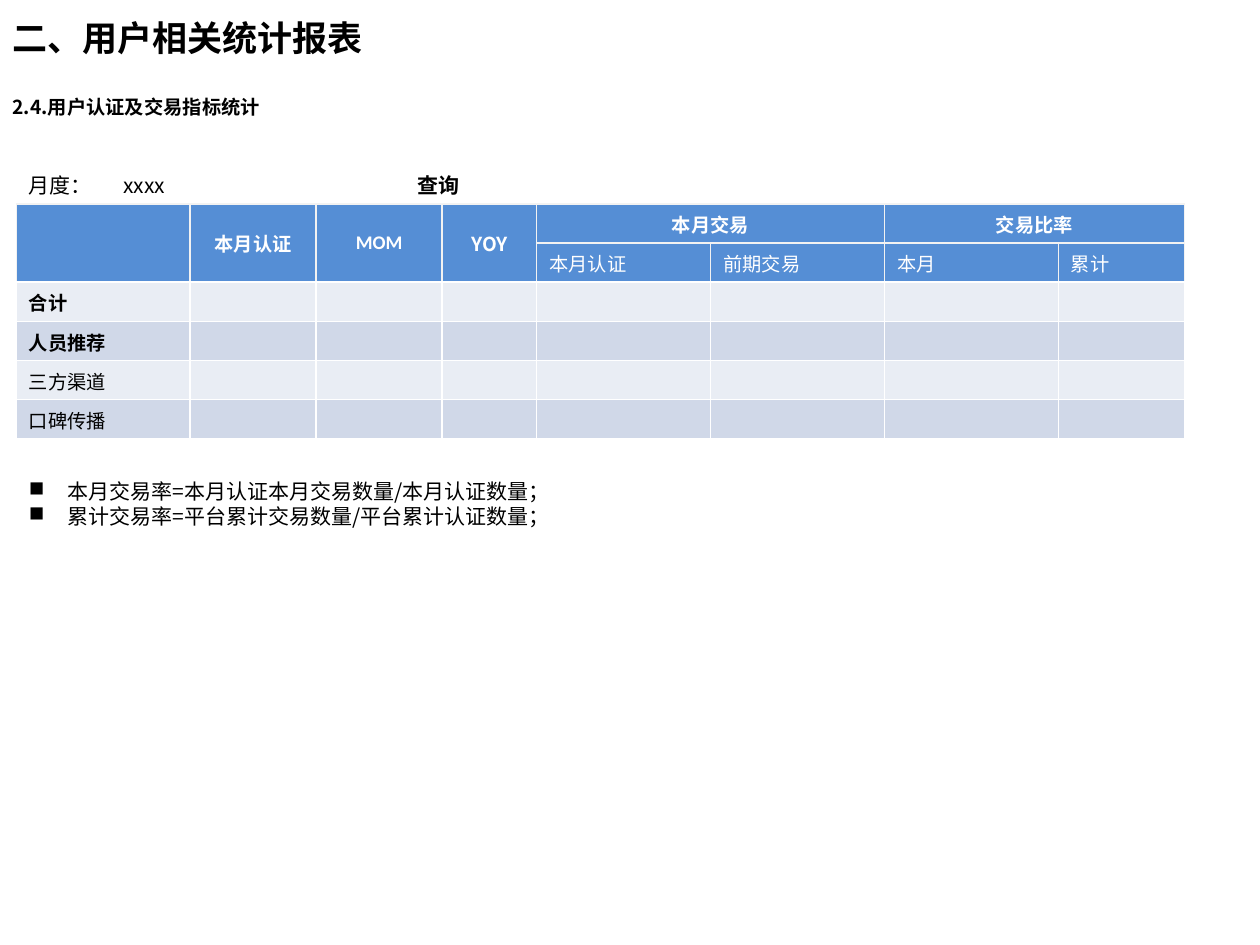
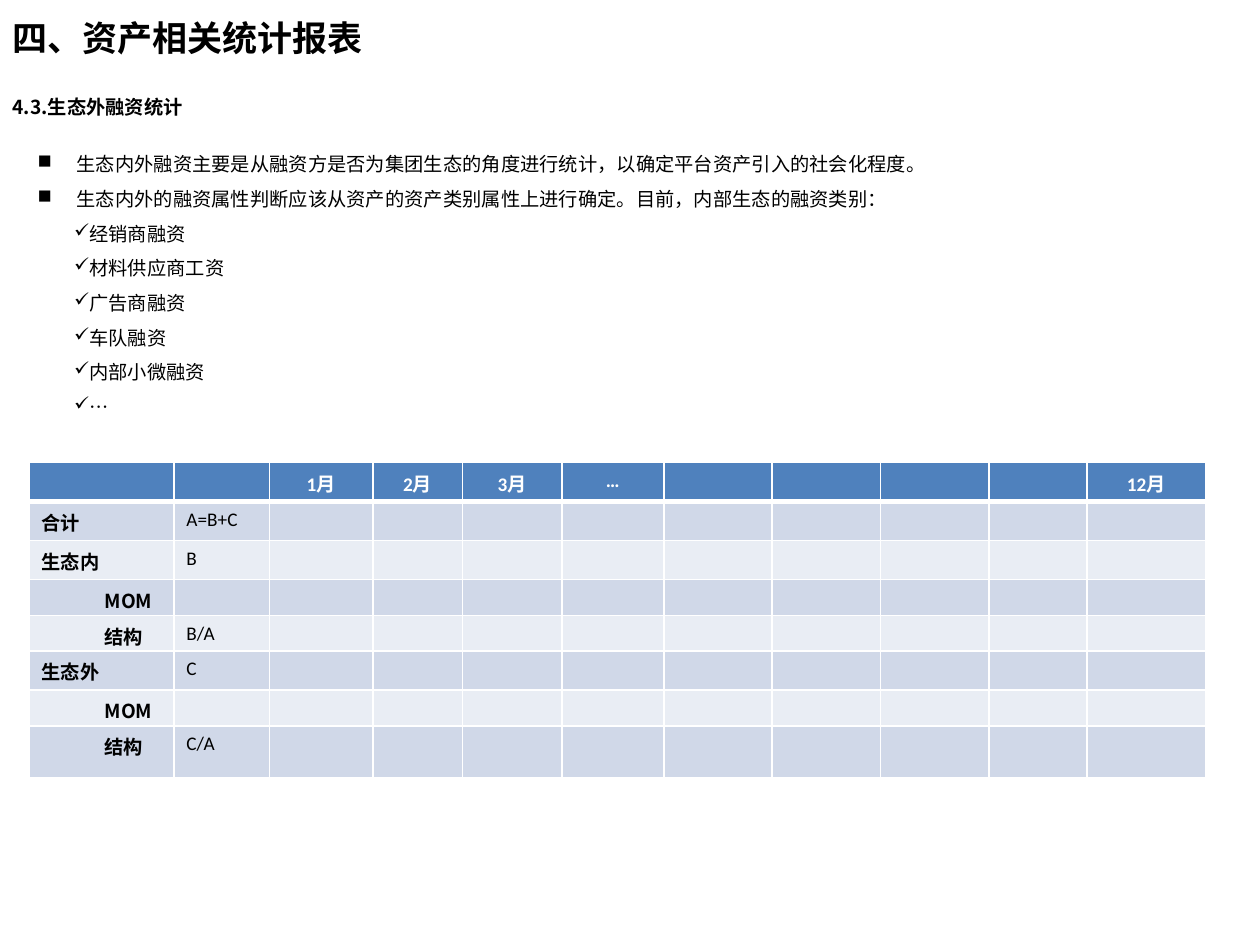
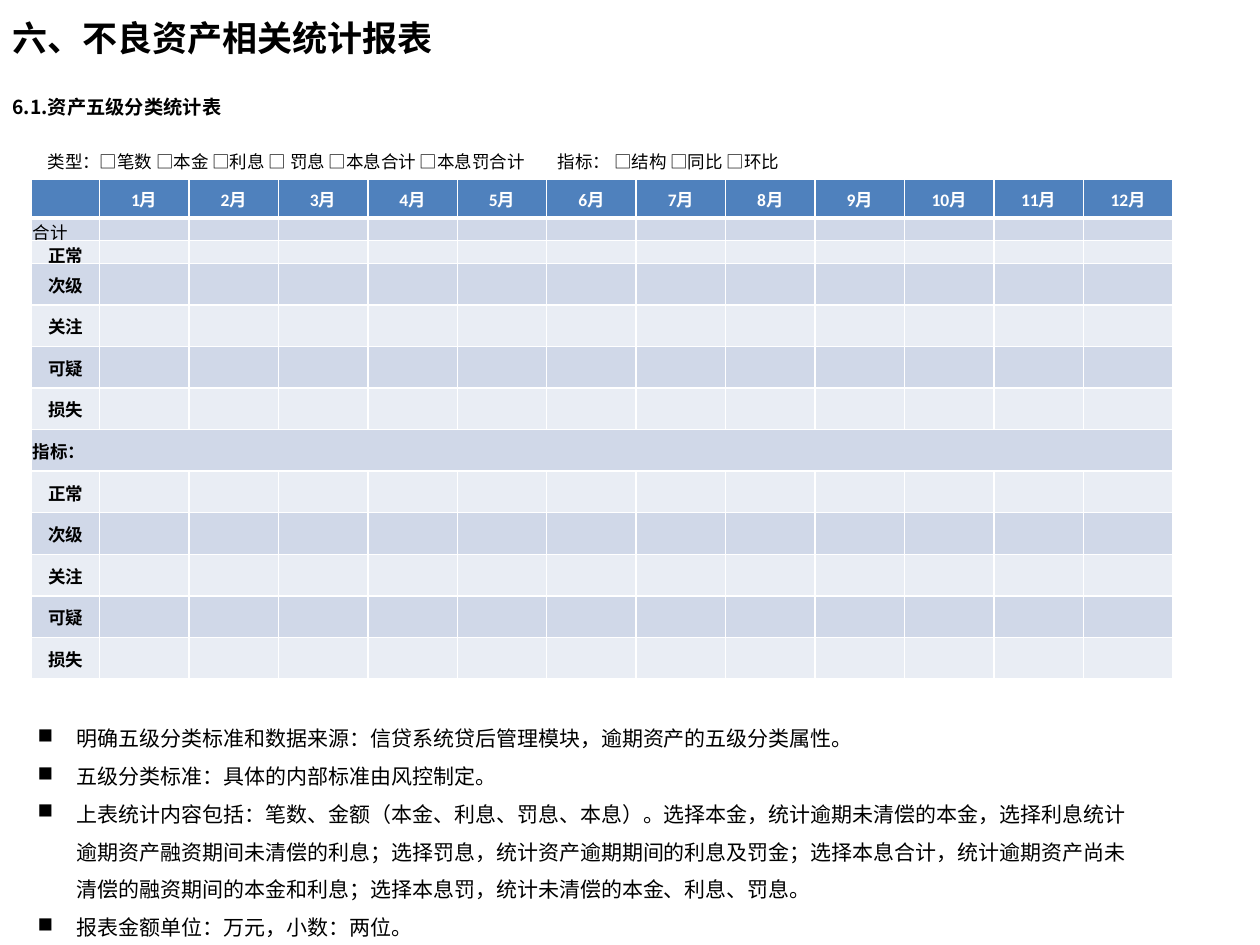
"""Build three report slides on users, assets and bad assets."""
import itertools

import lxml.etree
import pptx
import pptx.dml.color
import pptx.enum.text
import pptx.oxml.ns
import pptx.util

Inches = pptx.util.Inches
Align = pptx.enum.text.PP_ALIGN
Anchor = pptx.enum.text.MSO_ANCHOR
qn = pptx.oxml.ns.qn

HUES = {"ink": "000000", "white": "FFFFFF", "edge": "F2F2F2", "sky": "558ED5",
        "blue": "4F81BD", "dark": "D0D8E8", "light": "E9EDF4"}
HAN = "Noto Sans CJK SC"
LATIN = "Calibri"
DENTS = {"■": (0.31, -0.31), "✓": (0.19, 0.1)}


def write(frame, text, size, hue="ink", bold=False, face=HAN, align=Align.LEFT,
          marks="", space=None, tab=None):
    frame.text = text
    for para, mark in itertools.zip_longest(frame.paragraphs, marks):
        para.alignment = align
        para.line_spacing = space
        props = para._p.get_or_add_pPr()
        if mark:
            left, first = DENTS[mark]
            props.set("marL", str(Inches(left)))
            props.set("indent", str(Inches(first)))
            lxml.etree.SubElement(props, qn("a:buChar"), char=mark)
        if tab:
            stops = lxml.etree.SubElement(props, qn("a:tabLst"))
            lxml.etree.SubElement(stops, qn("a:tab"), pos=str(Inches(tab)), algn="l")
        for run in para.runs:
            run.font.size = pptx.util.Pt(size)
            run.font.bold = bold
            run.font.color.rgb = pptx.dml.color.RGBColor.from_string(HUES[hue])
            run.font.name = face
            lxml.etree.SubElement(run._r.get_or_add_rPr(), qn("a:ea"), typeface=HAN)
        if not para.runs:
            lxml.etree.SubElement(para._p, qn("a:endParaRPr"), sz=str(size * 100))


def grid(slide, left, top, cols, rows, texts, size, heads=1, fill="blue",
         edge="white", rule=3, anchor=Anchor.TOP, tight=False):
    table = slide.shapes.add_table(len(rows), len(cols), Inches(left), Inches(top),
                                   Inches(sum(cols)), Inches(sum(rows))).table
    table.first_row = table.horz_banding = False
    for col, width in zip(table.columns, cols):
        col.width = Inches(width)
    for row, height in zip(table.rows, rows):
        row.height = Inches(height)
    for r, c in itertools.product(range(len(rows)), range(len(cols))):
        cell = table.cell(r, c)
        head = r < heads
        text = texts[r][c] if c < len(texts[r]) else ""
        if head:
            write(cell.text_frame, text, size, "white", True, LATIN, Align.CENTER)
        else:
            write(cell.text_frame, text, size)
        cell.vertical_anchor = anchor
        if tight:
            cell.margin_left = cell.margin_right = cell.margin_top = Inches(0.01)
            cell.margin_bottom = 0
        props = cell._tc.get_or_add_tcPr()
        for side in "LRTB":
            thick = (r, side) in ((heads - 1, "B"), (heads, "T"))
            line = lxml.etree.SubElement(props, qn("a:ln" + side),
                                         w=str(pptx.util.Pt(rule if thick else 1)))
            paint = lxml.etree.SubElement(line, qn("a:solidFill"))
            lxml.etree.SubElement(paint, qn("a:srgbClr"),
                                  val=HUES[edge if head else "white"])
        band = fill if head else ("light", "dark")[r % 2]
        cell.fill.solid()
        cell.fill.fore_color.rgb = pptx.dml.color.RGBColor.from_string(HUES[band])
    return table


deck = pptx.Presentation()
deck.slide_width = Inches(10)
deck.slide_height = Inches(7.5)
users, assets, debts = [deck.slides.add_slide(deck.slide_layouts[6]) for _ in range(3)]

heads = [
    (users, "二、用户相关统计报表", "2.4.用户认证及交易指标统计"),
    (assets, "四、资产相关统计报表", "4.3.生态外融资统计"),
    (debts, "六、不良资产相关统计报表", "6.1.资产五级分类统计表"),
]
for slide, title, sub in heads:
    box = slide.shapes.add_textbox(0, Inches(-0.01), Inches(7.36), Inches(0.61))
    box.text_frame.word_wrap = True
    box.text_frame.vertical_anchor = Anchor.MIDDLE
    write(box.text_frame, title, 20, bold=True)
    box = slide.shapes.add_textbox(0, Inches(0.71), Inches(8.62), Inches(0.29))
    box.text_frame.word_wrap = True
    write(box.text_frame, sub, 11, bold=True)

texts = [
    ["", "本月认证", "MOM", "YOY", "本月交易", "", "交易比率"],
    ["", "", "", "", "本月认证", "前期交易", "本月", "累计"],
    ["合计"], ["人员推荐"], ["三方渠道"], ["口碑传播"],
]
table = grid(users, 0.13, 1.62, [1.38, 1, 1, 0.75, 1.38, 1.38, 1.38, 1], [0.31] * 6,
             texts, 11, heads=2, fill="sky", edge="edge", rule=1, anchor=Anchor.MIDDLE)
for c in range(4):
    table.cell(0, c).merge(table.cell(1, c))
for c in (4, 6):
    table.cell(0, c).merge(table.cell(0, c + 1))
for c in range(3, 8):
    write(table.cell(0, c).text_frame, texts[0][c] if c < 7 else "", 11, "white", True,
          align=Align.CENTER)
for c in range(4, 8):
    write(table.cell(1, c).text_frame, texts[1][c], 11, "white")
for r in (2, 3):
    write(table.cell(r, 0).text_frame, texts[r][0], 11, bold=True)

texts = [
    ["", "", "1月", "2月", "3月", "…", "", "", "", "", "12月"],
    ["合计", "A=B+C"], ["生态内", "B"], ["MOM", ""], ["结构", "B/A"],
    ["生态外", "C"], ["MOM", ""], ["结构", "C/A"],
]
table = grid(assets, 0.23, 3.67,
             [1.15, 0.76, 0.82, 0.71, 0.79, 0.81, 0.86, 0.86, 0.86, 0.78, 0.94],
             [0.31, 0.31, 0.31, 0.24, 0.24, 0.31, 0.25, 0.41], texts, 11)
for r, (name, sum_of) in enumerate(texts[1:], 1):
    write(table.cell(r, 0).text_frame, name, 11, bold=True)
    if name in ("MOM", "结构"):
        table.cell(r, 0).margin_left = Inches(0.6)
    if sum_of:
        write(table.cell(r, 1).text_frame, sum_of, 11, face=LATIN)

grades = ["正常", "次级", "关注", "可疑", "损失"]
names = ["合计", *grades, "指标：", *grades]
texts = [["", *[f"{m}月" for m in range(1, 13)]], *[[name] for name in names]]
table = grid(debts, 0.25, 1.42, [0.54] + [0.71] * 12, [0.31, 0.18, 0.18] + [0.33] * 10,
             texts, 10, anchor=Anchor.MIDDLE, tight=True)
table.cell(7, 0).merge(table.cell(7, 12))
for r, name in enumerate(names, 1):
    write(table.cell(r, 0).text_frame, name, 10, bold=name != "合计",
          face=LATIN if name == "合计" else HAN,
          align=Align.CENTER if name in grades else Align.LEFT)

rates = ["本月交易率=本月认证本月交易数量/本月认证数量；",
         "累计交易率=平台累计交易数量/平台累计认证数量；"]
kinds = ["生态内外融资主要是从融资方是否为集团生态的角度进行统计，以确定平台资产引入的社会化程度。",
         "生态内外的融资属性判断应该从资产的资产类别属性上进行确定。目前，内部生态的融资类别：",
         "经销商融资", "材料供应商工资", "广告商融资", "车队融资", "内部小微融资", "…"]
rules = ["明确五级分类标准和数据来源：信贷系统贷后管理模块，逾期资产的五级分类属性。",
         "五级分类标准：具体的内部标准由风控制定。",
         "上表统计内容包括：笔数、金额（本金、利息、罚息、本息）。选择本金，统计逾期未清偿的本金，"
         "选择利息统计逾期资产融资期间未清偿的利息；选择罚息，统计资产逾期期间的利息及罚金；"
         "选择本息合计，统计逾期资产尚未清偿的融资期间的本金和利息；"
         "选择本息罚，统计未清偿的本金、利息、罚息。",
         "报表金额单位：万元，小数：两位。"]
notes = [
    (users, (0.13, 3.75, 5.35, 0.5), rates, 12, {"marks": "■■"}),
    (users, (0.13, 1.32, 2.11, 0.3), ["月度：\txxxx"], 12, {"tab": 0.75}),
    (users, (2.95, 1.32, 1.06, 0.3), ["查询"], 12, {"bold": True, "align": Align.CENTER}),
    (assets, (0.2, 1.07, 9.37, 2.32), kinds, 11, {"marks": "■■✓✓✓✓✓✓", "space": 1.5}),
    (debts, (0.2, 5.61, 8.98, 1.92), rules, 12, {"marks": "■■■■", "space": 1.5}),
    (debts, (0.28, 1.15, 6.95, 0.27),
     ["类型：□笔数 □本金 □利息 □ 罚息 □本息合计 □本息罚合计"], 10, {"face": LATIN}),
    (debts, (4.33, 1.15, 4.84, 0.27), ["指标： □结构 □同比 □环比"], 10, {"face": LATIN}),
]
for slide, place, lines, size, look in notes:
    box = slide.shapes.add_textbox(*map(Inches, place))
    box.text_frame.word_wrap = True
    write(box.text_frame, "\n".join(lines), size, **look)

deck.save("out.pptx")
